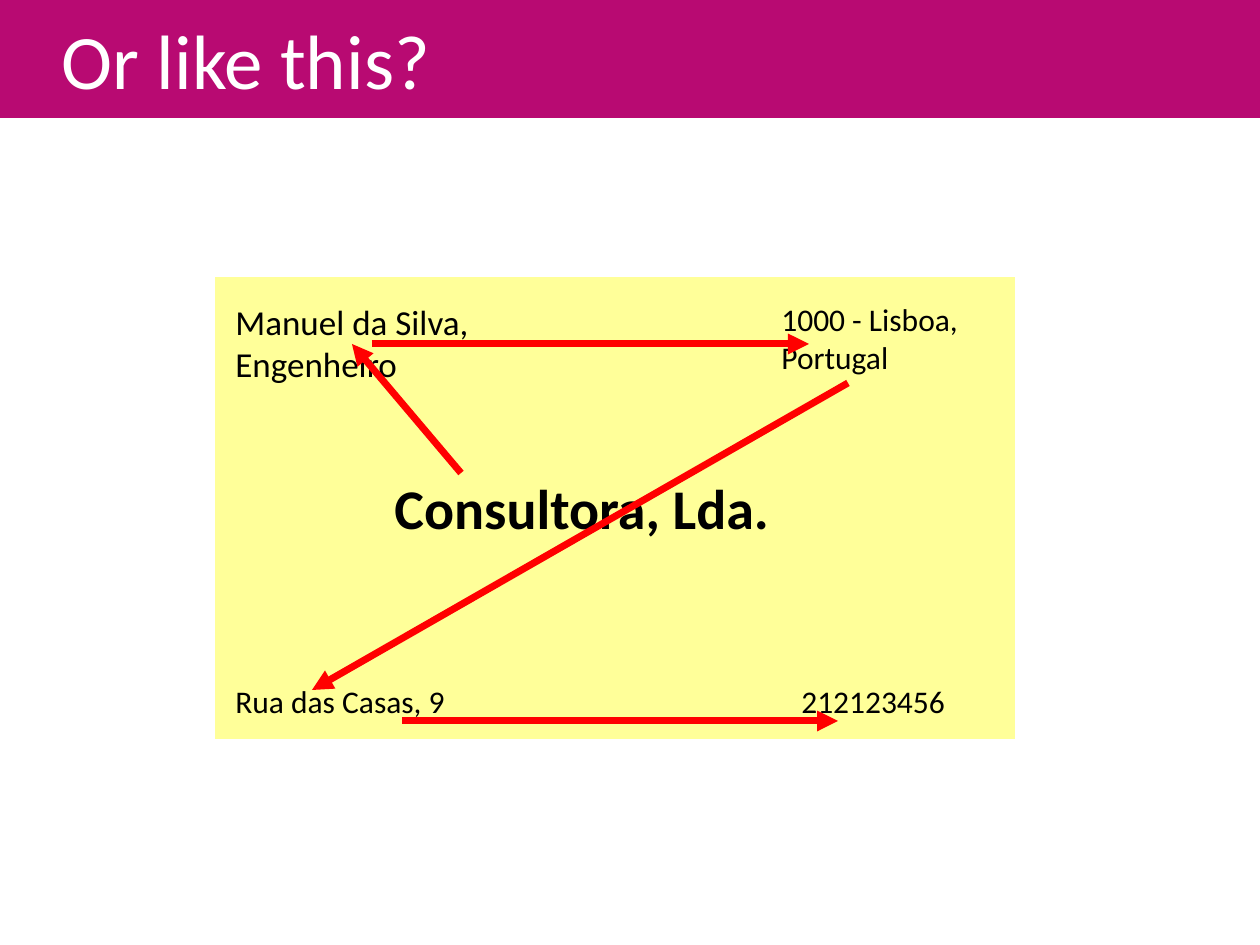
"""Build the slide that asks in which order a business card is read."""
from lxml.etree import SubElement
from pptx import Presentation
from pptx.dml.color import RGBColor
from pptx.enum.shapes import MSO_CONNECTOR, MSO_SHAPE
from pptx.enum.text import MSO_ANCHOR, MSO_AUTO_SIZE, PP_ALIGN
from pptx.oxml.ns import qn
from pptx.util import Pt


def px(*sizes):
    return [round(size * 914400 / 126) for size in sizes]


def paint(target, tone):
    target.rgb = RGBColor.from_string(tone)


deck = Presentation()
deck.slide_width, deck.slide_height = px(1260, 945)
slide = deck.slides.add_slide(deck.slide_layouts[5])
shapes = slide.shapes

title = shapes.title
title.left, title.top, title.width, title.height = px(0, 0, 1260, 118)
title.fill.solid()
paint(title.fill.fore_color, "B80A72")
frame = title.text_frame
frame.text = "Or like this?"
frame.vertical_anchor = MSO_ANCHOR.MIDDLE
head = frame.paragraphs[0]
head.alignment = PP_ALIGN.LEFT
head._p.get_or_add_pPr().set("marL", str(px(49)[0]))
font = head.runs[0].font
font.name, font.size = "Calibri", Pt(44)
paint(font.color, "FFFFFF")

card = shapes.add_shape(MSO_SHAPE.RECTANGLE, *px(213, 275, 804, 466))
card.shadow.inherit = False
card.fill.solid()
paint(card.fill.fore_color, "FFFF99")
paint(card.line.color, "FFFFFF")
card.line.width = Pt(2)

labels = [
    ("Manuel da Silva, Engenheiro", 223, 294, 420, 54, 20, False),
    ("1000 - Lisboa, Portugal", 769, 294, 268, 88, 18, False),
    ("Rua das Casas, 9", 223, 676, 328, 50, 18, False),
    ("212123456", 789, 676, 189, 50, 18, False),
    ("Consultora, Lda.", 382, 467, 496, 79, 32, True),
]
for text, left, top, width, height, size, bold in labels:
    box = shapes.add_textbox(*px(left, top, width, height))
    frame = box.text_frame
    frame.word_wrap = True
    frame.auto_size = MSO_AUTO_SIZE.SHAPE_TO_FIT_TEXT
    frame.text = text
    font = frame.paragraphs[0].runs[0].font
    font.name, font.size, font.bold = "Calibri", Pt(size), bold
    paint(font.color, "000000")

arrows = [
    (372, 344, 809, 344),
    (848, 383, 312, 690),
    (402, 721, 838, 721),
    (461, 473, 352, 344),
]
for ends in arrows:
    arrow = shapes.add_connector(MSO_CONNECTOR.STRAIGHT, *px(*ends))
    paint(arrow.line.color, "FF0000")
    arrow.line.width = Pt(4)
    SubElement(arrow.line._get_or_add_ln(), qn("a:tailEnd"), type="triangle")
    SubElement(arrow._element.spPr, qn("a:effectLst"))

deck.save("out.pptx")
